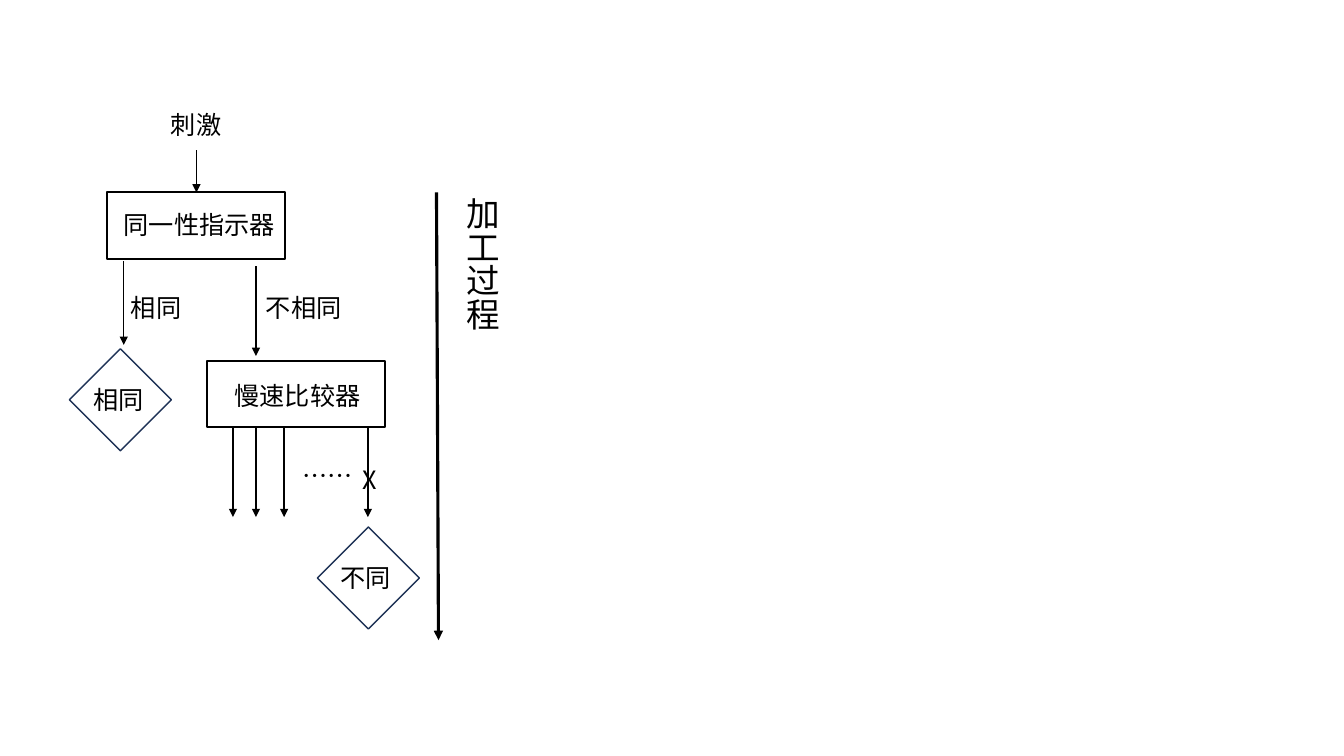
from lxml.etree import SubElement
from pptx import Presentation
from pptx.dml.color import RGBColor
from pptx.enum.shapes import MSO_CONNECTOR, MSO_SHAPE
from pptx.enum.text import MSO_AUTO_SIZE
from pptx.oxml.ns import qn
from pptx.util import Cm, Pt

FONT = "Noto Sans CJK SC"
COLORS = {"ink": "000000", "decision": "1E3256"}
BOX_SIZE = (4.5, 1.68)
DIAMOND_SIZE = (2.57, 2.57)
LABEL_HEIGHT = 1.02

STAGES = [(2.69, 4.85), (5.21, 9.09)]
DECISIONS = [(1.75, 8.79), (8, 13.28)]
LABELS = [
    ("同一性指示器", 2.87, 5.16, 4.37),
    ("刺激", 4.06, 2.62, 1.8),
    ("相同", 3.05, 7.24, 1.8),
    ("不相同", 6.45, 7.24, 2.44),
    ("慢速比较器", 5.66, 9.45, 3.71),
    ("相同", 2.11, 9.55, 1.8),
    ("不同", 8.33, 14.05, 1.8),
    ("……", 7.37, 11.48, 1.8),
    ("X", 8.89, 11.58, 0.84),
]
PROCESS_LABEL = ("加工过程", 11.23, 4.72, 1.55, 3.68)
PROCESS_ARROW = (11, 4.85, 11.05, 16.13)
FLOW_ARROWS = [(4.95, 3.78, 4.85), (3.12, 6.58, 8.69), (6.45, 6.71, 8.97)]
COMPARISON_XS = [5.87, 6.45, 7.16, 9.27]
COMPARISON_TOP, COMPARISON_BOTTOM = 10.77, 13.03


def add_outline(page, kind, place, size, color, weight):
    shape = page.shapes.add_shape(kind, *map(Cm, place + size))
    shape.shadow.inherit = False
    shape.fill.background()
    shape.line.color.rgb = RGBColor.from_string(COLORS[color])
    shape.line.width = Pt(weight)


def add_label(page, words, left, top, width, height=LABEL_HEIGHT, size=18, vertical=False):
    box = page.shapes.add_textbox(Cm(left), Cm(top), Cm(width), Cm(height))
    frame = box.text_frame
    frame.word_wrap = False
    frame.auto_size = MSO_AUTO_SIZE.SHAPE_TO_FIT_TEXT
    if vertical:
        frame._txBody.bodyPr.set("vert", "eaVert")
    span = frame.paragraphs[0].add_run()
    span.text = words
    for name, value in {"name": FONT, "size": Pt(size)}.items():
        setattr(span.font, name, value)
    span.font.color.rgb = RGBColor.from_string(COLORS["ink"])
    SubElement(span._r.get_or_add_rPr(), qn("a:ea"), typeface=FONT)


def add_arrow(page, start_x, start_y, end_x, end_y, weight=1):
    ends = map(Cm, (start_x, start_y, end_x, end_y))
    arrow = page.shapes.add_connector(MSO_CONNECTOR.STRAIGHT, *ends)
    arrow.line.color.rgb = RGBColor.from_string(COLORS["ink"])
    arrow.line.width = Pt(weight)
    SubElement(arrow.line._get_or_add_ln(), qn("a:tailEnd"), type="triangle")
    SubElement(arrow._element.spPr, qn("a:effectLst"))


def main():
    deck = Presentation()
    deck.slide_width, deck.slide_height = Cm(33.87), Cm(19.05)
    page = deck.slides.add_slide(deck.slide_layouts[6])

    for place in STAGES:
        add_outline(page, MSO_SHAPE.RECTANGLE, place, BOX_SIZE, "ink", 1.5)
    for place in DECISIONS:
        add_outline(page, MSO_SHAPE.DIAMOND, place, DIAMOND_SIZE, "decision", 1)

    comparisons = [(x, COMPARISON_TOP, COMPARISON_BOTTOM) for x in COMPARISON_XS]
    for x, top, bottom in FLOW_ARROWS + comparisons:
        add_arrow(page, x, top, x, bottom)
    add_arrow(page, *PROCESS_ARROW, weight=2.25)

    for label in LABELS:
        add_label(page, *label)
    add_label(page, *PROCESS_LABEL, size=24, vertical=True)
    deck.save("out.pptx")


if __name__ == "__main__":
    main()
